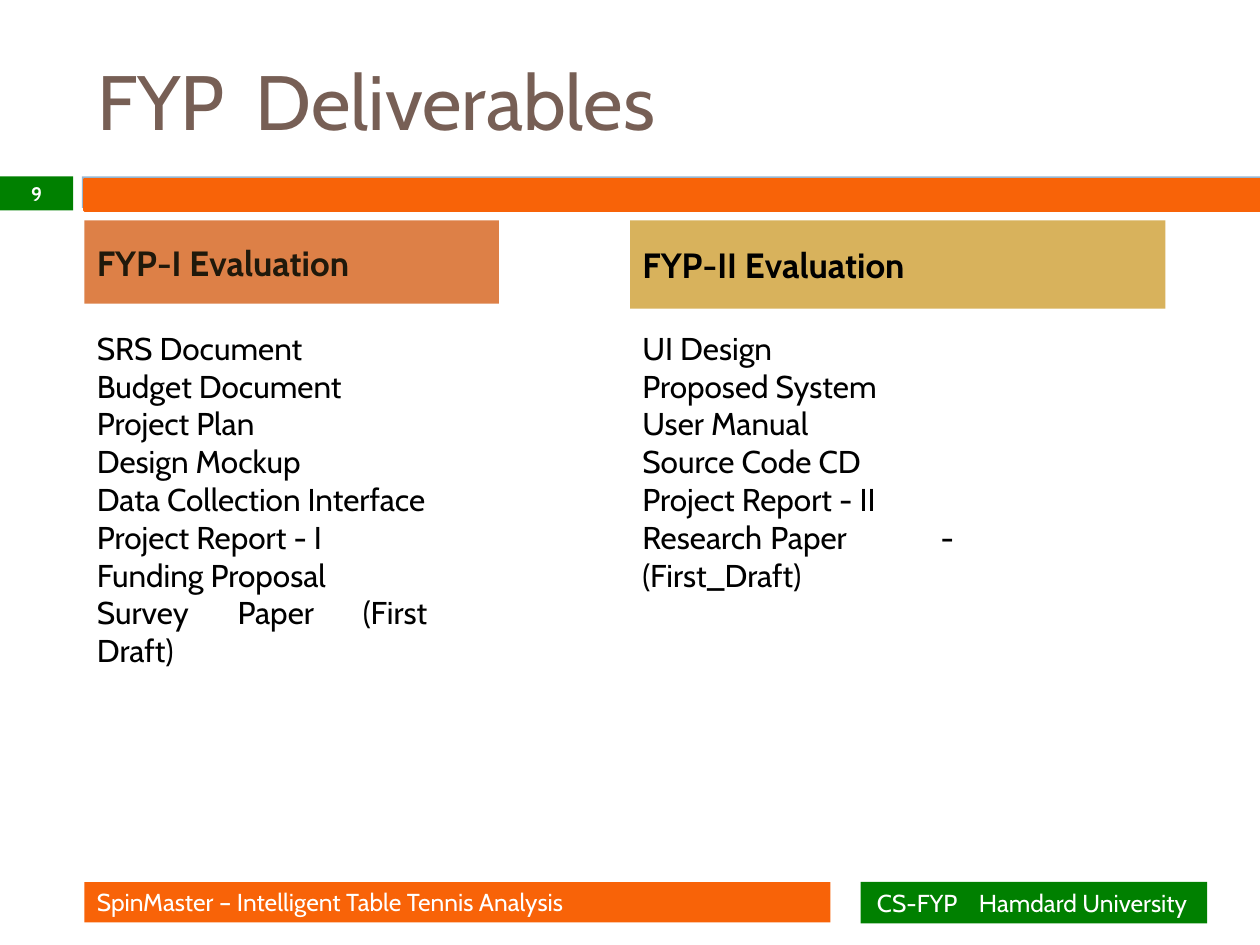
from lxml import etree
from pptx import Presentation
from pptx.dml.color import RGBColor
from pptx.enum.shapes import MSO_SHAPE
from pptx.enum.text import MSO_ANCHOR, MSO_AUTO_SIZE, PP_ALIGN
from pptx.oxml.ns import qn
from pptx.util import Inches, Pt

RECT = MSO_SHAPE.RECTANGLE
TOP, MIDDLE = MSO_ANCHOR.TOP, MSO_ANCHOR.MIDDLE
NO_FIT, GROW = MSO_AUTO_SIZE.NONE, MSO_AUTO_SIZE.SHAPE_TO_FIT_TEXT
LEFT, CENTER, JUSTIFY = PP_ALIGN.LEFT, PP_ALIGN.CENTER, PP_ALIGN.JUSTIFY

FONT = "Cabin"
WHITE = RGBColor(0xFF, 0xFF, 0xFF)
BLACK = RGBColor(0, 0, 0)
BROWN = RGBColor(0x77, 0x5F, 0x55)
DARK = RGBColor(0x20, 0x19, 0x0B)
BLUE = RGBColor(0x94, 0xB6, 0xD2)
ORANGE = RGBColor(0xF8, 0x63, 0x08)
GREEN = RGBColor(0, 0x80, 0)
COPPER = RGBColor(0xDD, 0x80, 0x47)
GOLD = RGBColor(0xD8, 0xB2, 0x5C)

COLUMNS = [
    (0.67, 3.29, 0.66, 2.82, 2.52, COPPER, DARK, "FYP-I Evaluation",
     ["SRS Document", "Budget Document", "Project Plan", "Design Mockup",
      "Data Collection Interface", "Project Report - I", "Funding Proposal",
      "Survey Paper (First Draft)"]),
    (5, 4.25, 0.7, 2.67, 2.22, GOLD, BLACK, "FYP-II Evaluation",
     ["UI Design", "Proposed System", "User Manual", "Source Code CD",
      "Project Report - II", "Research Paper\t- (First_Draft)"]),
]


def write(tf, lines, size=18, color=BLACK, bold=False, align=LEFT,
          anchor=MIDDLE, fit=NO_FIT, tab=None):
    tf.word_wrap = True
    tf.auto_size = fit
    tf.vertical_anchor = anchor
    for i, line in enumerate(lines):
        p = tf.paragraphs[0] if i == 0 else tf.add_paragraph()
        p.alignment = align
        p.space_before = Pt(0)
        if tab and "\t" in line:
            tabs = etree.SubElement(p._p.get_or_add_pPr(), qn("a:tabLst"))
            etree.SubElement(tabs, qn("a:tab"), pos=str(Inches(tab)), algn="l")
        r = p.add_run()
        r.text = line
        r.font.name = FONT
        r.font.size = Pt(size)
        r.font.bold = bold
        r.font.color.rgb = color


class Deck:
    def __init__(self):
        self.prs = Presentation()
        self.prs.slide_width = Inches(10)
        self.prs.slide_height = Inches(7.5)
        self.s = self.prs.slides.add_slide(self.prs.slide_layouts[5])

    def title(self, x, y, w, h, text, **fmt):
        sp = self.s.shapes.title
        sp.left, sp.top, sp.width, sp.height = map(Inches, (x, y, w, h))
        write(sp.text_frame, [text], **fmt)

    def bar(self, x, y, w, h, fill, text=None, line=None, inset=0.1, **fmt):
        sp = self.s.shapes.add_shape(RECT, *map(Inches, (x, y, w, h)))
        sp.shadow.inherit = False
        sp.fill.solid()
        sp.fill.fore_color.rgb = fill
        if line:
            sp.line.color.rgb = line
            sp.line.width = Pt(1.5)
        else:
            sp.line.fill.background()
        if text:
            sp.text_frame.margin_left = Inches(inset)
            write(sp.text_frame, [text], **fmt)

    def text(self, x, y, w, h, lines, **fmt):
        sp = self.s.shapes.add_textbox(*map(Inches, (x, y, w, h)))
        write(sp.text_frame, lines, **fmt)


def main():
    deck = Deck()
    deck.title(0.67, 0.25, 8.33, 1.08, "FYP\tDeliverables",
               size=44, color=BROWN, tab=1.26)
    deck.bar(0.65, 1.4, 9.35, 0.25, BLUE)
    deck.bar(0.67, 1.42, 9.33, 0.25, ORANGE, line=ORANGE)
    deck.bar(0, 1.4, 0.58, 0.27, GREEN, "9",
             size=11.2, color=WHITE, bold=True, align=CENTER)
    for x, w, h, list_w, list_h, fill, color, heading, items in COLUMNS:
        deck.bar(x, 1.75, w, h, fill, heading, size=20, color=color, bold=True)
        deck.text(x, 2.56, list_w, list_h, items,
                  align=JUSTIFY, anchor=TOP, fit=GROW, tab=2.36)
    deck.bar(0.67, 7, 5.92, 0.32, ORANGE,
             "SpinMaster – Intelligent Table Tennis Analysis",
             size=14, color=WHITE)
    deck.bar(6.83, 7, 2.75, 0.33, GREEN, "CS-FYP\tHamdard University",
             size=14, color=WHITE, inset=0.13, tab=0.81)
    deck.prs.save("out.pptx")


if __name__ == "__main__":
    main()
